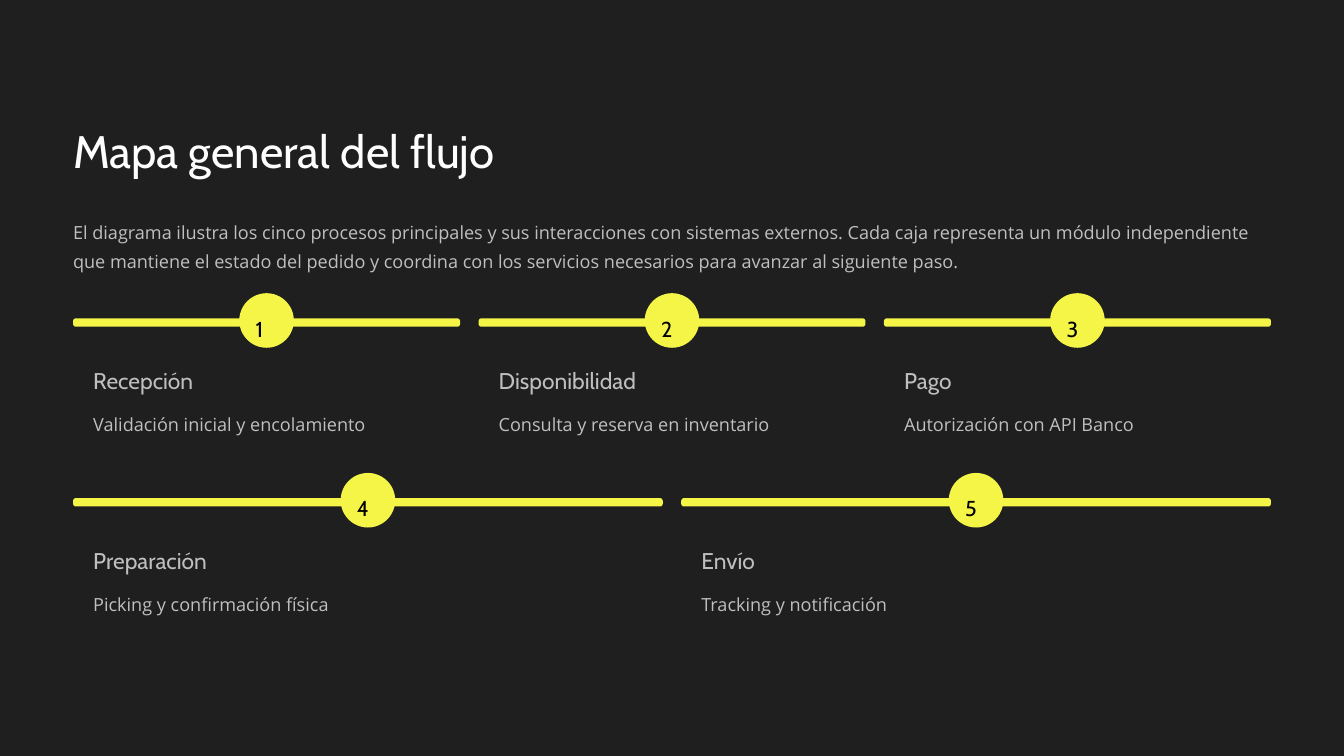
from pptx import Presentation
from pptx.dml.color import RGBColor
from pptx.enum.shapes import MSO_SHAPE
from pptx.util import Inches, Pt

ROUNDED = MSO_SHAPE.ROUNDED_RECTANGLE

# Content
TITLE = "Mapa general del flujo"
INTRO = (
    "El diagrama ilustra los cinco procesos principales y sus interacciones con "
    "sistemas externos. Cada caja representa un módulo independiente que mantiene "
    "el estado del pedido y coordina con los servicios necesarios para avanzar al "
    "siguiente paso."
)
STEP_ROWS = [
    [
        ("Recepción", "Validación inicial y encolamiento"),
        ("Disponibilidad", "Consulta y reserva en inventario"),
        ("Pago", "Autorización con API Banco"),
    ],
    [
        ("Preparación", "Picking y confirmación física"),
        ("Envío", "Tracking y notificación"),
    ],
]

# Style: font, size, line spacing, colour
COLORS = {
    "background": "1F1F1F",
    "accent": "F5F547",
    "title": "FEFEFE",
    "body": "BFBFBF",
    "number": "000000",
}
STYLES = {
    "title": ("Cabin", 39, 48.5, "title"),
    "heading": ("Cabin", 19.5, 24, "body"),
    "body": ("Open Sans", 15.5, 25, "body"),
    "number": ("Cabin", 18.5, 30, "number"),
}

# Layout in inches
LEFT, WIDTH, GAP = 0.87, 14.26, 0.22
FIRST_BAR_TOP, ROW_STEP = 3.79, 2.14
BAR_HEIGHT, BADGE, NUMBER_WIDTH = 0.1, 0.65, 0.26
INDENT = 0.24


def rgb(key):
    return RGBColor.from_string(COLORS[key])


def add_text(slide, text, style, left, top, width, height, wrap=False):
    font_name, size, spacing, color = STYLES[style]
    frame = slide.shapes.add_textbox(
        Inches(left), Inches(top), Inches(width), Inches(height)
    ).text_frame
    frame.margin_left = frame.margin_right = 0
    frame.margin_top = frame.margin_bottom = 0
    frame.word_wrap = wrap
    paragraph = frame.paragraphs[0]
    paragraph.line_spacing = Pt(spacing)
    run = paragraph.add_run()
    run.text = text
    run.font.name = font_name
    run.font.size = Pt(size)
    run.font.color.rgb = rgb(color)


def add_accent(slide, left, top, width, height, rounding):
    accent = slide.shapes.add_shape(
        ROUNDED, Inches(left), Inches(top), Inches(width), Inches(height)
    )
    accent.adjustments[0] = rounding
    accent.shadow.inherit = False
    accent.fill.solid()
    accent.fill.fore_color.rgb = rgb("accent")
    accent.line.fill.background()


def add_step(slide, number, heading, description, left, top, width):
    center = left + width / 2
    add_accent(slide, left, top, width, BAR_HEIGHT, 0.33)
    add_accent(slide, center - BADGE / 2, top - 0.3, BADGE, BADGE, 0.5)
    add_text(slide, str(number), "number",
             center - NUMBER_WIDTH / 2, top - 0.14, NUMBER_WIDTH, 0.33)
    add_text(slide, heading, "heading", left + INDENT, top + 0.57, 2.71, 0.34)
    add_text(slide, description, "body",
             left + INDENT, top + 1.04, width - 2 * INDENT, 0.35)


def main():
    prs = Presentation()
    prs.slide_width, prs.slide_height = Inches(16), Inches(9)
    slide = prs.slides.add_slide(prs.slide_layouts[6])
    slide.background.fill.solid()
    slide.background.fill.fore_color.rgb = rgb("background")

    # Title and introduction
    add_text(slide, TITLE, "title", LEFT, 1.44, 5.52, 0.68)
    add_text(slide, INTRO, "body", LEFT, 2.55, WIDTH, 0.69, wrap=True)

    # Numbered steps, each row filling the full width
    number = 1
    for row, steps in enumerate(STEP_ROWS):
        width = (WIDTH - GAP * (len(steps) - 1)) / len(steps)
        top = FIRST_BAR_TOP + row * ROW_STEP
        for column, (heading, description) in enumerate(steps):
            left = LEFT + column * (width + GAP)
            add_step(slide, number, heading, description, left, top, width)
            number += 1

    prs.save("out.pptx")


if __name__ == "__main__":
    main()
